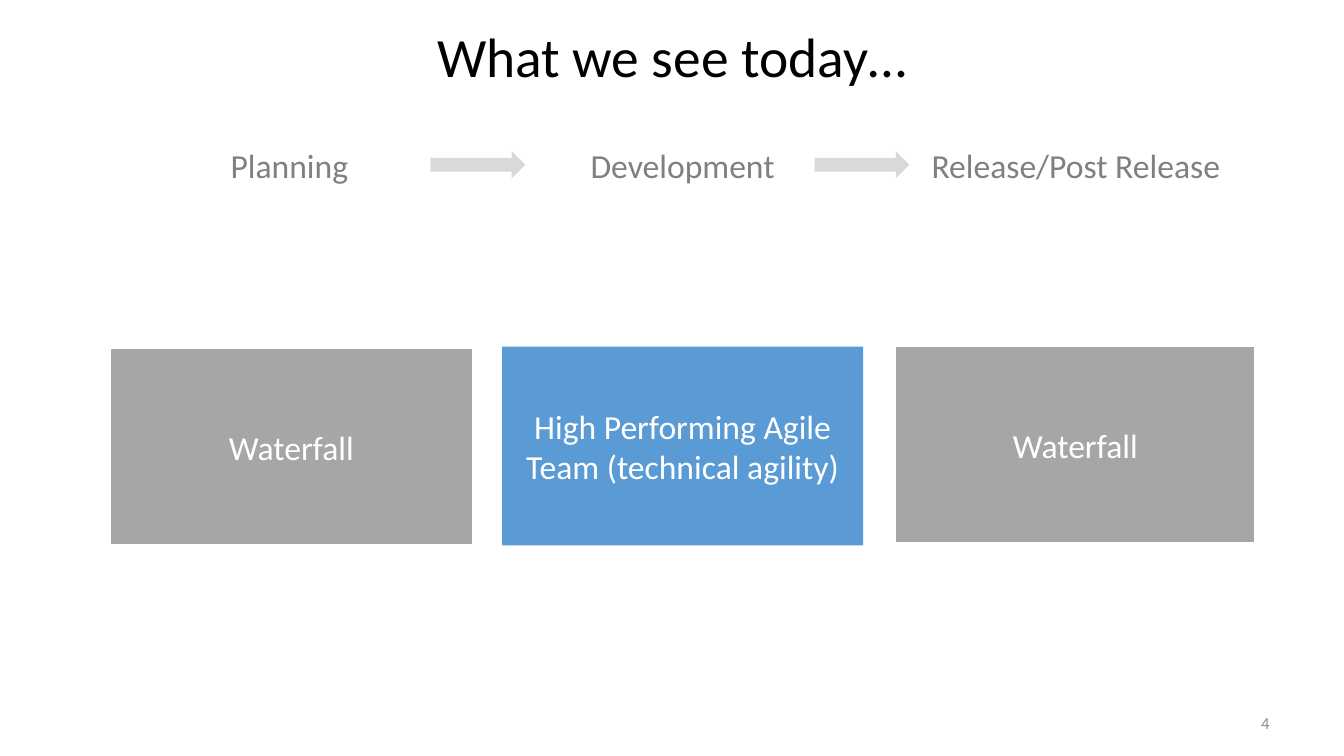
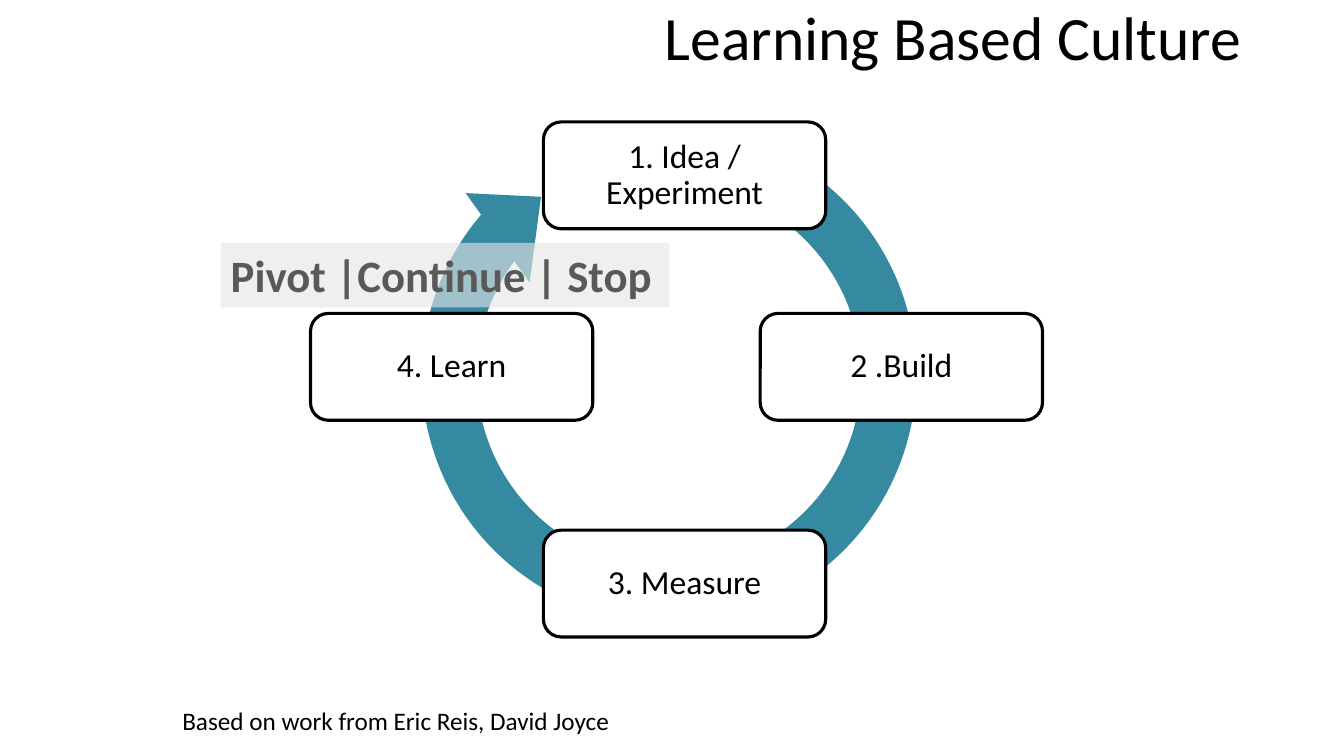
import dataclasses
import typing

import pptx
import pptx.dml.color
import pptx.enum.shapes
import pptx.enum.text
import pptx.oxml.ns
import pptx.util
from lxml import etree

Inches = pptx.util.Inches
Pt = pptx.util.Pt
ShapeKind = pptx.enum.shapes.MSO_SHAPE
Align = pptx.enum.text.PP_ALIGN
Anchor = pptx.enum.text.MSO_ANCHOR

FONT = "Calibri"
BLACK = "000000"
WHITE = "FFFFFF"
LABEL_GREY = "808080"
NUMBER_GREY = "8C8C8C"
ARROW_GREY = "D9D9D9"
WATERFALL_GREY = "A6A6A6"
AGILE_BLUE = "5B9BD5"
CYCLE_TEAL = "3589A1"
BANNER_GREY = "E7E6E6"
BANNER_TEXT = "595959"

COLUMN_LEFT = 1.08
COLUMN_PITCH = 3.9
COLUMN_WIDTH = 3.58
NODE_SIZE = (2.8, 1.06)
CYCLE_ADJUSTMENTS = (0.1, 9.36, 131.28, 174.94, 0.1)


@dataclasses.dataclass(frozen=True)
class Box:
    left: float
    top: float
    width: float
    height: float

    def lengths(self) -> tuple:
        return tuple(Inches(value) for value in (self.left, self.top, self.width, self.height))


@dataclasses.dataclass(frozen=True)
class TextStyle:
    size: float
    color: str = BLACK
    align: typing.Any = Align.CENTER
    anchor: typing.Any = Anchor.MIDDLE
    bold: bool = False
    line_spacing: float = 1.0
    inset: typing.Optional[float] = None


@dataclasses.dataclass(frozen=True)
class Block:
    text: str
    box: Box
    fill: str
    line: typing.Optional[str] = None


@dataclasses.dataclass(frozen=True)
class Node:
    text: str
    left: float
    top: float


BLOCK_STYLE = TextStyle(24, WHITE)
STAGE_STYLE = TextStyle(24, LABEL_GREY, anchor=Anchor.TOP)
NODE_STYLE = TextStyle(24, line_spacing=0.9, inset=0.15)
NUMBER_STYLE = TextStyle(12, NUMBER_GREY, Align.RIGHT)
SOURCE_STYLE = TextStyle(18, align=Align.LEFT, anchor=Anchor.TOP)
BANNER_STYLE = TextStyle(32, BANNER_TEXT, Align.LEFT, Anchor.TOP, bold=True)

STAGES = ("Planning", "Development", "Release/Post Release")
STAGE_ARROW_LEFTS = (4.27, 8.08)
BLOCKS = (
    Block("High Performing Agile Team (technical agility)",
          Box(4.98, 3.44, 3.58, 1.97), AGILE_BLUE),
    Block("Waterfall", Box(1.08, 3.44, 3.62, 1.98), WATERFALL_GREY, WHITE),
    Block("Waterfall", Box(8.87, 3.42, 3.59, 1.98), WATERFALL_GREY, WHITE),
)
NODES = (
    Node("1. Idea / Experiment", 5.39, 1.21),
    Node("2 .Build", 7.54, 3.11),
    Node("3. Measure", 5.39, 5.26),
    Node("4. Learn", 3.08, 3.11),
)


def rgb(color: str) -> pptx.dml.color.RGBColor:
    return pptx.dml.color.RGBColor.from_string(color)


def write_text(shape, text: str, style: TextStyle) -> None:
    frame = shape.text_frame
    frame.word_wrap = True
    frame.vertical_anchor = style.anchor
    if style.inset is not None:
        frame.margin_left = frame.margin_right = Inches(style.inset)
        frame.margin_top = frame.margin_bottom = Inches(style.inset)
    paragraph = frame.paragraphs[0]
    paragraph.alignment = style.align
    paragraph.line_spacing = style.line_spacing
    run = paragraph.add_run()
    run.text = text
    run.font.name = FONT
    run.font.size = Pt(style.size)
    run.font.bold = style.bold
    run.font.color.rgb = rgb(style.color)


def add_text(slide, box: Box, text: str, style: TextStyle) -> None:
    write_text(slide.shapes.add_textbox(*box.lengths()), text, style)


def add_title(slide, box: Box, text: str, size: float, align) -> None:
    add_text(slide, box, text, TextStyle(size, align=align, line_spacing=0.9))


def add_shape(slide, kind, box: Box, fill: str,
              line: typing.Optional[str] = None, line_width: float = 1):
    shape = slide.shapes.add_shape(kind, *box.lengths())
    shape.shadow.inherit = False
    shape.fill.solid()
    shape.fill.fore_color.rgb = rgb(fill)
    if line is None:
        shape.line.fill.background()
    else:
        shape.line.color.rgb = rgb(line)
        shape.line.width = Pt(line_width)
    return shape


def set_opacity(shape, percent: int) -> None:
    qn = pptx.oxml.ns.qn
    color = shape.fill._xPr.find(qn("a:solidFill")).find(qn("a:srgbClr"))
    etree.SubElement(color, qn("a:alpha")).set("val", str(percent * 1000))


def build_today(slide) -> None:
    add_title(slide, Box(0, 0.29, 13.33, 0.61), "What we see today…", 39.6, Align.CENTER)
    for index, stage in enumerate(STAGES):
        left = COLUMN_LEFT + index * COLUMN_PITCH
        add_text(slide, Box(left, 1.39, COLUMN_WIDTH, 0.5), stage, STAGE_STYLE)
    for left in STAGE_ARROW_LEFTS:
        add_shape(slide, ShapeKind.RIGHT_ARROW, Box(left, 1.5, 0.94, 0.27), ARROW_GREY)
    for block in BLOCKS:
        shape = add_shape(slide, ShapeKind.RECTANGLE, block.box, block.fill, block.line, 3)
        write_text(shape, block.text, BLOCK_STYLE)
    add_text(slide, Box(9.58, 6.97, 3.11, 0.4), "4", NUMBER_STYLE)


def build_learning(slide) -> None:
    add_title(slide, Box(0.92, -0.32, 11.5, 1.45), "Learning Based Culture", 44, Align.RIGHT)
    add_text(slide, Box(1.71, 6.95, 4.5, 0.4),
             "Based on work from Eric Reis, David Joyce", SOURCE_STYLE)
    cycle = add_shape(slide, ShapeKind.CIRCULAR_ARROW, Box(3.91, 1, 5.45, 5.45), CYCLE_TEAL)
    for index, value in enumerate(CYCLE_ADJUSTMENTS):
        cycle.adjustments[index] = value
    for node in NODES:
        shape = add_shape(slide, ShapeKind.ROUNDED_RECTANGLE,
                          Box(node.left, node.top, *NODE_SIZE), WHITE, BLACK, 2.25)
        write_text(shape, node.text, NODE_STYLE)
    banner = add_shape(slide, ShapeKind.RECTANGLE, Box(2.19, 2.41, 4.45, 0.64), BANNER_GREY)
    set_opacity(banner, 61)
    write_text(banner, "Pivot |Continue | Stop", BANNER_STYLE)


def main() -> None:
    presentation = pptx.Presentation()
    presentation.slide_width = Inches(13.33)
    presentation.slide_height = Inches(7.5)
    for build in (build_today, build_learning):
        build(presentation.slides.add_slide(presentation.slide_layouts[6]))
    presentation.save("out.pptx")


if __name__ == "__main__":
    main()
